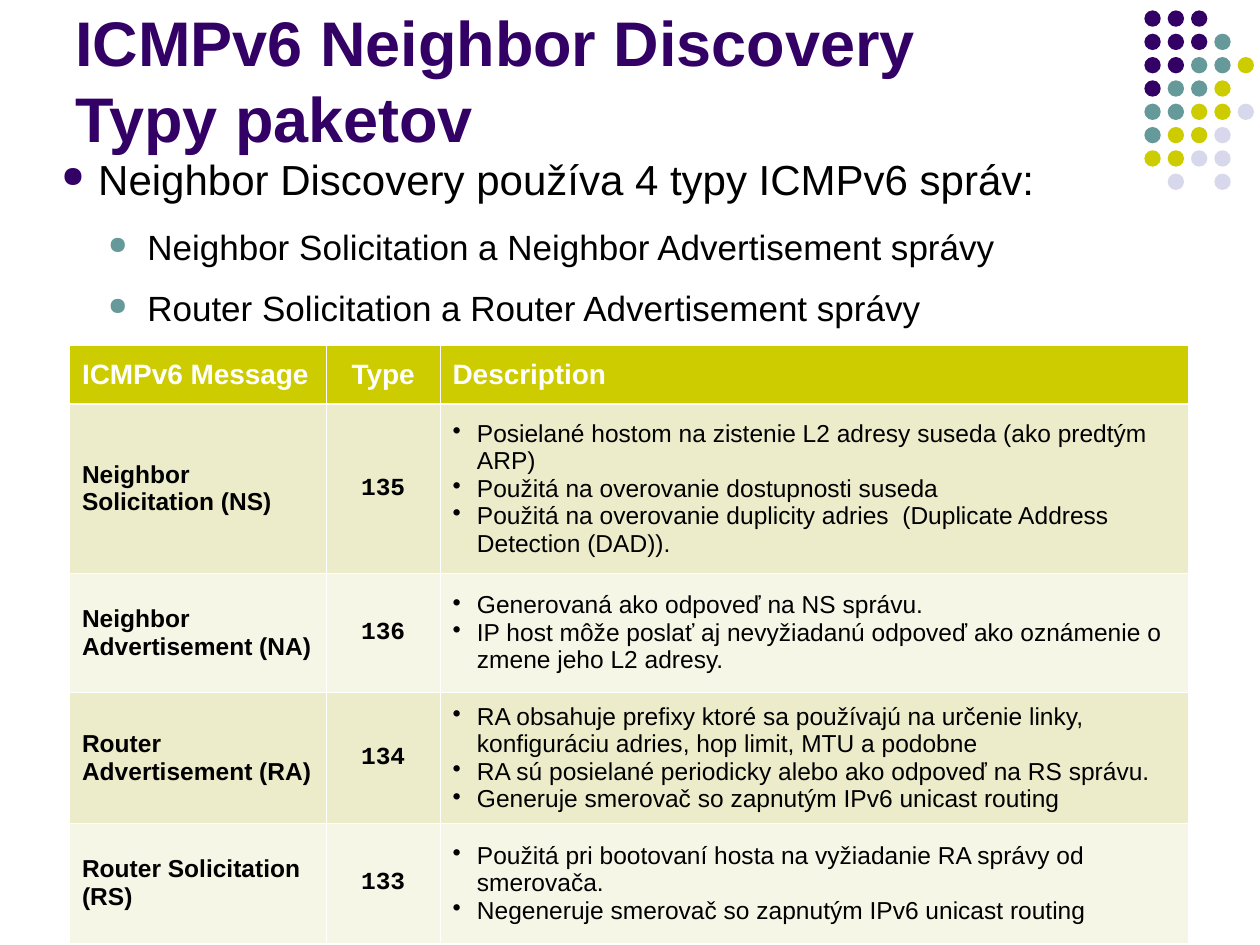
"""Build the slide on ICMPv6 Neighbor Discovery packet types."""
import lxml.etree
import pptx
import pptx.dml.color
import pptx.enum.shapes
import pptx.enum.text
import pptx.oxml.ns
import pptx.util

Cm = pptx.util.Cm
Pt = pptx.util.Pt
qn = pptx.oxml.ns.qn
ALIGN = pptx.enum.text.PP_ALIGN
ANCHOR = pptx.enum.text.MSO_ANCHOR

COLOURS = {
    "purple": "330066",
    "teal": "669999",
    "olive": "CCCC00",
    "lilac": "D8D8EC",
    "band": "ECECCB",
    "pale": "F6F6E7",
    "white": "FFFFFF",
    "black": "000000",
}


def rgb(colour):
    return pptx.dml.color.RGBColor.from_string(COLOURS[colour])


def write(frame, lines):
    """Fill a text frame from (text, font, colour, layout, bullet) lines."""
    for number, (text, font, colour, layout, bullet) in enumerate(lines):
        paragraph = frame.paragraphs[0] if number == 0 else frame.add_paragraph()
        paragraph.text = text
        if bullet:
            mark, mark_colour, percent, left, hang = bullet
            properties = paragraph._p.get_or_add_pPr()
            properties.set("marL", str(Cm(left)))
            properties.set("indent", str(-Cm(hang)))
            tint = lxml.etree.SubElement(properties, qn("a:buClr"))
            lxml.etree.SubElement(tint, qn("a:srgbClr"), val=COLOURS[mark_colour])
            lxml.etree.SubElement(properties, qn("a:buSzPct"), val=str(percent * 1000))
            lxml.etree.SubElement(properties, qn("a:buChar"), char=mark)
        for name, value in layout.items():
            setattr(paragraph, name, value)
        for run in paragraph.runs:
            run.font.color.rgb = rgb(colour)
            for name, value in font.items():
                setattr(run.font, name, value)


presentation = pptx.Presentation()
presentation.slide_width = Cm(25.4)
presentation.slide_height = Cm(19.05)
slide = presentation.slides.add_slide(presentation.slide_layouts[6])

dot_colours = {"P": "purple", "T": "teal", "O": "olive", "L": "lilac"}
dot_rows = ["PPP", "PPPT", "PPTTO", "PTTO", "TTOOL", "TOOL", "OOLL", " L L"]
for row, letters in enumerate(dot_rows):
    for column, letter in enumerate(letters):
        if letter in dot_colours:
            dot = slide.shapes.add_shape(
                pptx.enum.shapes.MSO_SHAPE.OVAL,
                Cm(23.07 + 0.47 * column), Cm(0.21 + 0.47 * row), Cm(0.33), Cm(0.33))
            dot.shadow.inherit = False
            dot.fill.solid()
            dot.fill.fore_color.rgb = rgb(dot_colours[letter])
            dot.line.fill.background()

main_font = {"name": "Arial", "size": Pt(24)}
sub_font = {"name": "Arial", "size": Pt(20)}
sub_layout = {"level": 1, "space_before": Pt(6.2), "space_after": Pt(5)}
sub_bullet = ("●", "teal", 70, 1.73, 0.79)
overview = slide.shapes.add_textbox(Cm(0.99), Cm(2.97), Cm(23.39), Cm(4.09)).text_frame
overview.word_wrap = True
write(overview, [
    ("Neighbor Discovery používa 4 typy ICMPv6 správ:", main_font, "black",
     {"space_after": Pt(6)}, ("●", "purple", 70, 0.74, 0.74)),
    ("Neighbor Solicitation a Neighbor Advertisement správy", sub_font, "black",
     sub_layout, sub_bullet),
    ("Router Solicitation a Router Advertisement správy", sub_font, "black",
     sub_layout, sub_bullet),
])

title = slide.shapes.add_textbox(Cm(1.27), Cm(0.33), Cm(21.59), Cm(2.92)).text_frame
title.word_wrap = True
title.vertical_anchor = ANCHOR.BOTTOM
write(title, [("ICMPv6 Neighbor Discovery\vTypy paketov",
               {"name": "Arial", "size": Pt(36), "bold": True}, "purple", {}, None)])

messages = [
    ("Neighbor Solicitation (NS)", "135", [
        "Posielané hostom na zistenie L2 adresy suseda (ako predtým ARP)",
        "Použitá na overovanie dostupnosti suseda",
        "Použitá na overovanie duplicity adries  (Duplicate Address Detection (DAD)).",
    ]),
    ("Neighbor Advertisement (NA)", "136", [
        "Generovaná ako odpoveď na NS správu.",
        "IP host môže poslať aj nevyžiadanú odpoveď ako oznámenie o zmene jeho L2 adresy.",
    ]),
    ("Router Advertisement (RA)", "134", [
        "RA obsahuje prefixy ktoré sa používajú na určenie linky, "
        "konfiguráciu adries, hop limit, MTU a podobne",
        "RA sú posielané periodicky alebo ako odpoveď na RS správu.",
        "Generuje smerovač so zapnutým IPv6 unicast routing",
    ]),
    ("Router Solicitation (RS)", "133", [
        "Použitá pri bootovaní hosta na vyžiadanie RA správy od smerovača.",
        "Negeneruje smerovač so zapnutým IPv6 unicast routing",
    ]),
]
centred = {"alignment": ALIGN.CENTER}
header_font = {"name": "Arial", "size": Pt(16), "bold": True}
name_font = {"name": "Arial", "size": Pt(14), "bold": True}
type_font = {"name": "Courier New", "size": Pt(14), "bold": True}
detail_font = {"name": "Arial", "size": Pt(14), "bold": False}
detail_bullet = ("•", "black", 100, 0.49, 0.49)

table_lines = [[
    [("ICMPv6 Message", header_font, "white", {}, None)],
    [("Type", header_font, "white", centred, None)],
    [("Description", header_font, "white", {}, None)],
]]
for message, code, details in messages:
    table_lines.append([
        [(message, name_font, "black", {}, None)],
        [(code, type_font, "black", centred, None)],
        [(detail, detail_font, "black", {}, detail_bullet) for detail in details],
    ])

column_widths = [5.18, 2.29, 15.09]
row_heights = [1.19, 3.4, 2.41, 2.64, 2.41]
packet_types = slide.shapes.add_table(
    len(row_heights), len(column_widths), Cm(1.4), Cm(6.96),
    Cm(sum(column_widths)), Cm(sum(row_heights))).table
packet_types.horz_banding = False
for column, width in zip(packet_types.columns, column_widths):
    column.width = Cm(width)
for row, height in zip(packet_types.rows, row_heights):
    row.height = Cm(height)

for row, row_lines in enumerate(table_lines):
    fill = "olive" if row == 0 else "band" if row % 2 else "pale"
    for column, lines in enumerate(row_lines):
        cell = packet_types.cell(row, column)
        cell.vertical_anchor = ANCHOR.MIDDLE
        for side in "LRTB":
            thick = (row, side) in [(0, "B"), (1, "T")]
            border = lxml.etree.SubElement(
                cell._tc.get_or_add_tcPr(), qn(f"a:ln{side}"),
                w=str(Pt(1.47 if thick else 0.45)))
            paint = lxml.etree.SubElement(border, qn("a:solidFill"))
            lxml.etree.SubElement(paint, qn("a:srgbClr"), val=COLOURS["white"])
        cell.fill.solid()
        cell.fill.fore_color.rgb = rgb(fill)
        write(cell.text_frame, lines)

presentation.save("out.pptx")
